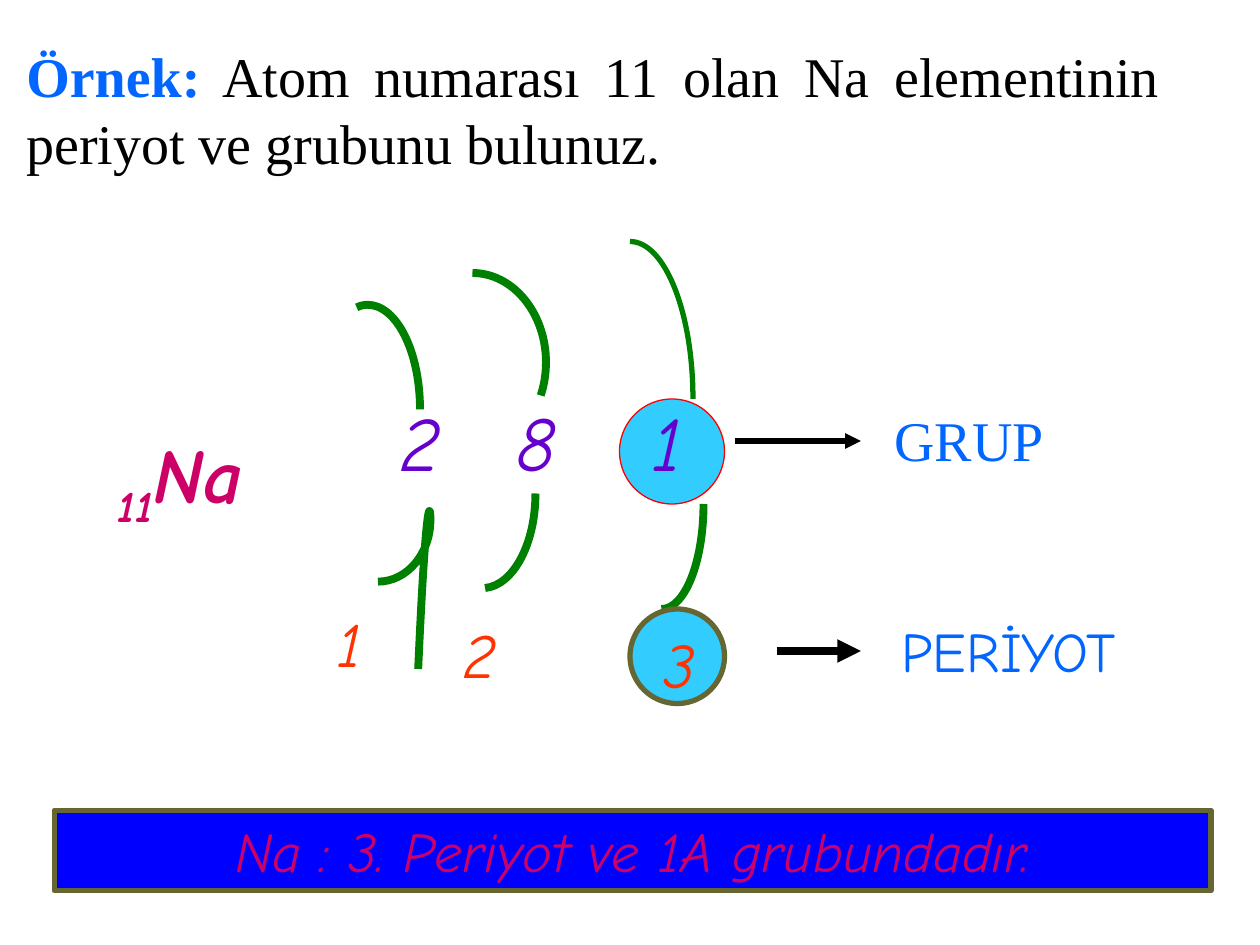
from dataclasses import dataclass

from lxml import etree
from pptx import Presentation
from pptx.dml.color import RGBColor
from pptx.enum.shapes import MSO_CONNECTOR, MSO_SHAPE
from pptx.enum.text import MSO_ANCHOR, MSO_AUTO_SIZE, PP_ALIGN
from pptx.oxml.ns import qn
from pptx.util import Pt

STRAIGHT = MSO_CONNECTOR.STRAIGHT
OVAL, RECTANGLE = MSO_SHAPE.OVAL, MSO_SHAPE.RECTANGLE
JUSTIFY, CENTER = PP_ALIGN.JUSTIFY, PP_ALIGN.CENTER
TOP = MSO_ANCHOR.TOP
GROW = MSO_AUTO_SIZE.SHAPE_TO_FIT_TEXT


@dataclass(frozen=True)
class Theme:
    serif: str = "Times New Roman"
    hand: str = "Comic Neue"
    black: str = "000000"
    label: str = "0066FF"
    symbol: str = "CC0066"
    electron: str = "6600CC"
    shell: str = "FF3300"
    curve: str = "008000"
    circle: str = "33CCFF"
    red: str = "FF0000"
    olive: str = "666633"
    banner: str = "0000FF"
    body_size: int = 32
    shell_size: int = 36
    large_size: int = 44


THEME = Theme()

# Each curve: line width, start point, then cubic segments (two controls, end).
CURVES = [
    (4.5, (203.8, 175.7), [(205.8, 174.7), (208, 174.2), (210, 174.2),
                           (226.6, 174.2), (240, 201), (240, 234)]),
    (4.5, (216, 332.4), [(232.6, 332.4), (246, 316.5), (246, 297),
                         (246, 288), (243.6, 279.4), (239, 382.3)]),
    (4.5, (270, 156), [(293.2, 156), (312, 179), (312, 207),
                       (312, 213.6), (311, 220), (309, 226)]),
    (3, (360, 138), [(379.9, 138), (396, 178.3), (396, 228)]),
    (4.5, (277.2, 336), [(293.2, 334.5), (306, 311), (306, 282)]),
    (4.5, (378, 348), [(391.3, 348), (402, 321.1), (402, 288)]),
]


def color(value):
    return RGBColor.from_string(value)


def write(shape, spans, align=JUSTIFY, left=7.2, right=7.2):
    """Fill a shape with one paragraph of (text, font, size, colour, bold, italic)."""
    frame = shape.text_frame
    frame.word_wrap = True
    frame.auto_size = GROW
    frame.vertical_anchor = TOP
    frame.margin_left, frame.margin_right = Pt(left), Pt(right)
    frame.margin_top = frame.margin_bottom = Pt(3.6)
    para = frame.paragraphs[0]
    para.alignment = align
    for text, name, size, tint, bold, italic in spans:
        span = para.add_run()
        span.text = text
        span.font.name = name
        span.font.size = Pt(size)
        span.font.color.rgb = color(tint)
        span.font.bold, span.font.italic = bold, italic
    return para


def add_text(page, place, spans, **layout):
    box = page.shapes.add_textbox(*map(Pt, place))
    return write(box, spans, **layout)


def add_digit(page, place, digit, size, tint, left=7.2):
    add_text(page, place, [(digit, THEME.hand, size, tint, False, True)], left=left)


def add_filled(page, kind, place, fill, line, width):
    shape = page.shapes.add_shape(kind, *map(Pt, place))
    shape.shadow.inherit = False
    shape.fill.solid()
    shape.fill.fore_color.rgb = color(fill)
    shape.line.color.rgb = color(line)
    shape.line.width = Pt(width)
    return shape


def add_curve(page, width, start, points):
    """Draw an open outline, turning each three points into a cubic segment."""
    builder = page.shapes.build_freeform(*map(Pt, start))
    builder.add_line_segments([(Pt(x), Pt(y)) for x, y in points], close=False)
    curve = builder.convert_to_shape()
    outline = next(curve._element.iter(qn("a:path")))
    lines = outline.findall(qn("a:lnTo"))
    for first in range(0, len(lines), 3):
        segment = etree.SubElement(outline, qn("a:cubicBezTo"))
        for line in lines[first:first + 3]:
            segment.append(line[0])
            outline.remove(line)
    curve.shadow.inherit = False
    curve.fill.background()
    curve.line.color.rgb = color(THEME.curve)
    curve.line.width = Pt(width)


def add_arrow(page, start, end, y, width):
    arrow = page.shapes.add_connector(STRAIGHT, Pt(start), Pt(y), Pt(end), Pt(y))
    arrow.line.color.rgb = color(THEME.black)
    arrow.line.width = Pt(width)
    etree.SubElement(arrow.line._get_or_add_ln(), qn("a:tailEnd"), type="triangle")
    etree.SubElement(arrow._element.spPr, qn("a:effectLst"))


def add_question(page):
    size = THEME.body_size
    add_text(page, (8, 20, 692, 84), [
        ("Örnek:", THEME.serif, size, THEME.label, True, False),
        (" Atom numarası 11 olan Na elementinin periyot ve grubunu bulunuz.",
         THEME.serif, size, THEME.black, False, False),
    ], right=37)


def add_element(page):
    style = (THEME.hand, THEME.large_size, THEME.symbol, True, True)
    para = add_text(page, (60, 240, 138, 67.4), [("11", *style), ("Na", *style)])
    para.runs[0].font._element.set("baseline", "-25000")


def add_shells(page):
    for curve in CURVES:
        add_curve(page, *curve)
    add_filled(page, OVAL, (354, 228, 60, 60), THEME.circle, THEME.red, 0.75)
    add_filled(page, OVAL, (360, 348, 54, 54), THEME.circle, THEME.olive, 3)
    for digit, x, width, left in (("2", 216, 48, 13), ("8", 282, 72, 13),
                                  ("1", 366, 48, 7.2)):
        add_digit(page, (x, 222, width, 60.5), digit,
                  THEME.large_size, THEME.electron, left)
    for digit, x, y, width in (("1", 186, 342, 42), ("2", 258, 348, 42),
                               ("3", 372, 354, 36)):
        add_digit(page, (x, y, width, 50.4), digit, THEME.shell_size, THEME.shell)


def add_answers(page):
    size = THEME.body_size
    add_arrow(page, 420, 492, 252, 3)
    add_arrow(page, 444, 492, 372, 4.5)
    add_text(page, (504, 228, 108, 46),
             [("GRUP", THEME.serif, size, THEME.label, False, False)])
    add_text(page, (508, 349, 162, 46),
             [("PERİYOT", THEME.hand, size, THEME.label, False, False)])
    banner = add_filled(page, RECTANGLE, (31, 463, 661, 46),
                        THEME.banner, THEME.olive, 3)
    write(banner, [("Na : 3. Periyot ve 1A grubundadır.", THEME.hand, size,
                    THEME.symbol, False, True)], align=CENTER)


def main():
    deck = Presentation()
    deck.slide_width, deck.slide_height = Pt(720), Pt(540)
    page = deck.slides.add_slide(deck.slide_layouts[6])
    add_question(page)
    add_element(page)
    add_shells(page)
    add_answers(page)
    deck.save("out.pptx")


if __name__ == "__main__":
    main()
